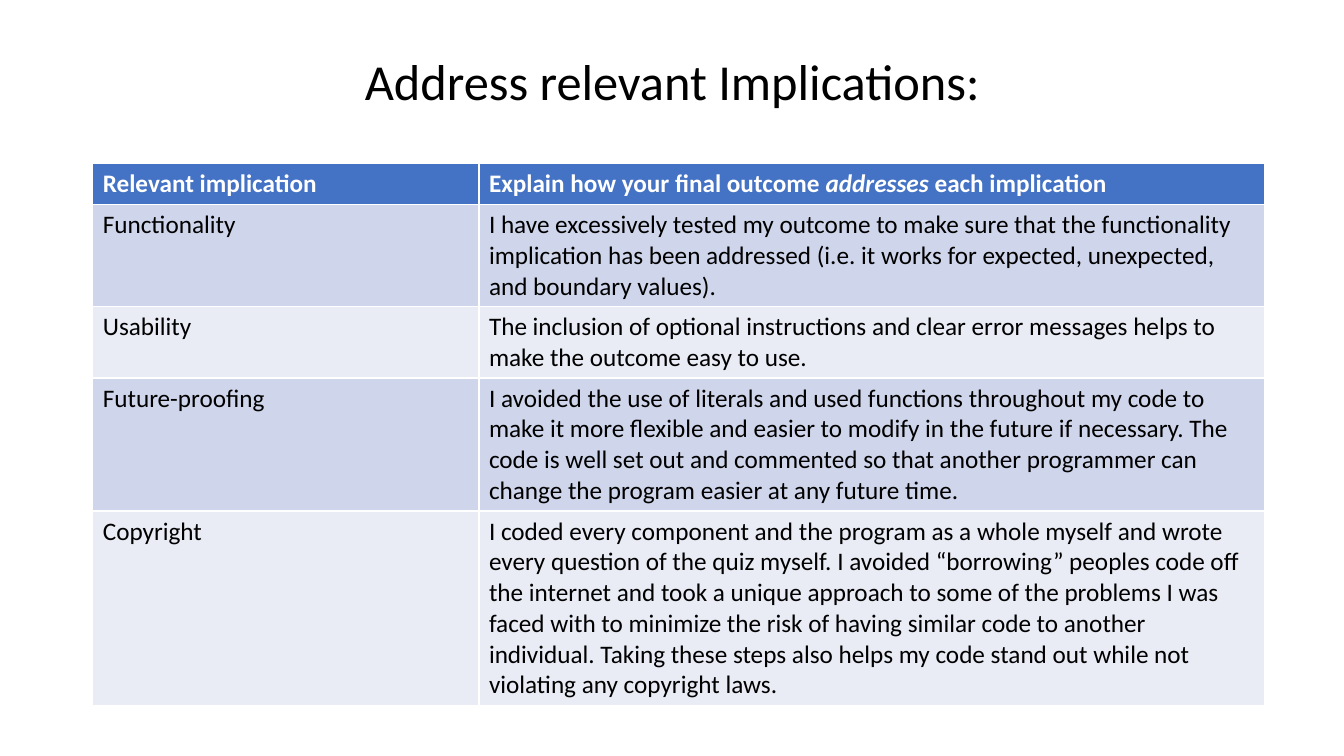
from pptx import Presentation
from pptx.dml.color import RGBColor
from pptx.enum.text import MSO_ANCHOR as Anchor, PP_ALIGN as Align
from pptx.util import Pt

EMU_PER_PX = 9144
FONT = "Calibri"
BLACK, WHITE = "000000", "FFFFFF"
HEADER_FILL = "4472C4"
BAND_FILLS = ["CFD5EA", "E9EBF5"]
COLUMN_WIDTHS = [383, 779]
ROW_HEIGHTS = [41, 101, 71, 132, 193]
HEADER = [
    ["Relevant implication"],
    ["Explain how your final outcome ", "addresses", " each implication"],
]
IMPLICATIONS = [
    ("Functionality",
     "I have excessively tested my outcome to make sure that the functionality "
     "implication has been addressed (i.e. it works for expected, unexpected, "
     "and boundary values)."),
    ("Usability",
     "The inclusion of optional instructions and clear error messages helps to "
     "make the outcome easy to use."),
    ("Future-proofing",
     "I avoided the use of literals and used functions throughout my code to "
     "make it more flexible and easier to modify in the future if necessary. The "
     "code is well set out and commented so that another programmer can "
     "change the program easier at any future time."),
    ("Copyright",
     "I coded every component and the program as a whole myself and wrote "
     "every question of the quiz myself. I avoided “borrowing” peoples code off "
     "the internet and took a unique approach to some of the problems I was "
     "faced with to minimize the risk of having similar code to another "
     "individual. Taking these steps also helps my code stand out while not "
     "violating any copyright laws."),
]


def px(*lengths):
    return [length * EMU_PER_PX for length in lengths]


def color(hex_string):
    return RGBColor.from_string(hex_string)


def set_font(para, size, hex_string, bold=False):
    para.font.name = FONT
    para.font.size = Pt(size)
    para.font.bold = bold
    para.font.color.rgb = color(hex_string)


def add_title(page, text):
    box = page.shapes.add_textbox(*px(92, 40, 1150, 70))
    frame = box.text_frame
    frame.word_wrap = True
    frame.vertical_anchor = Anchor.MIDDLE
    para = frame.paragraphs[0]
    para.text = text
    para.alignment = Align.CENTER
    para.line_spacing = 1.15
    set_font(para, 36, BLACK)


def fill_cell(cell, parts, fill, text_color, bold):
    cell.fill.solid()
    cell.fill.fore_color.rgb = color(fill)
    para = cell.text_frame.paragraphs[0]
    set_font(para, 18, text_color, bold)
    for index, part in enumerate(parts):
        span = para.add_run()
        span.text = part
        if index == 1:
            span.font.italic = True


def add_implications_table(page):
    place = px(92, 162, sum(COLUMN_WIDTHS), sum(ROW_HEIGHTS))
    table = page.shapes.add_table(len(ROW_HEIGHTS), len(COLUMN_WIDTHS), *place).table
    for column, width in zip(table.columns, px(*COLUMN_WIDTHS)):
        column.width = width
    for row, height in zip(table.rows, px(*ROW_HEIGHTS)):
        row.height = height
    for column, parts in enumerate(HEADER):
        fill_cell(table.cell(0, column), parts, HEADER_FILL, WHITE, True)
    for number, texts in enumerate(IMPLICATIONS):
        for column, text in enumerate(texts):
            fill_cell(table.cell(number + 1, column), [text],
                      BAND_FILLS[number % 2], BLACK, False)


def main():
    deck = Presentation()
    deck.slide_width, deck.slide_height = px(1333, 750)
    page = deck.slides.add_slide(deck.slide_layouts[6])
    add_title(page, "Address relevant Implications:")
    add_implications_table(page)
    deck.save("out.pptx")


if __name__ == "__main__":
    main()
